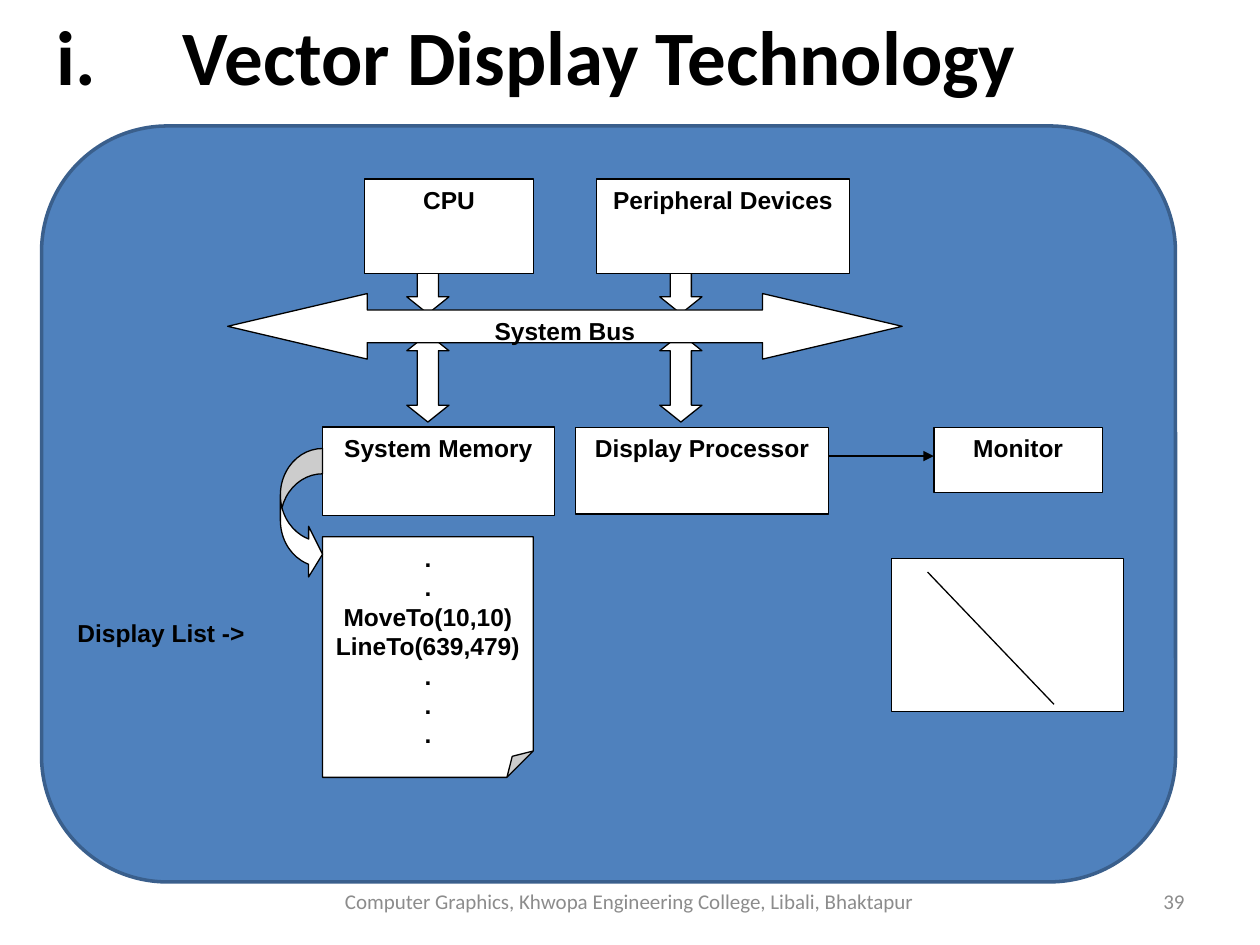
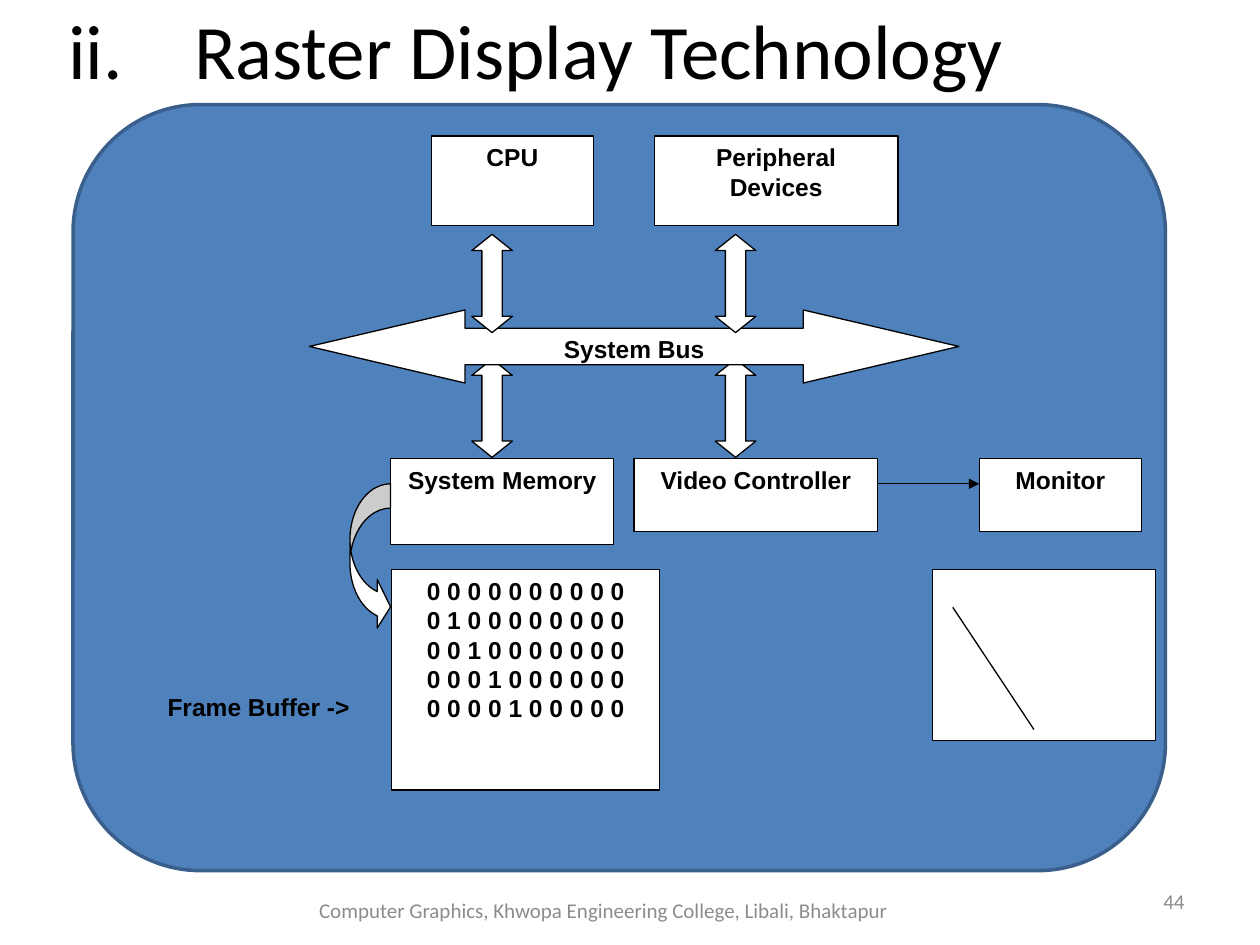
"""Build two slides that compare vector and raster display technology."""
from dataclasses import dataclass

from lxml.etree import SubElement
from pptx import Presentation
from pptx.dml.color import RGBColor
from pptx.enum.shapes import MSO_CONNECTOR, MSO_SHAPE as SHAPE
from pptx.enum.text import MSO_ANCHOR as ANCHOR, MSO_AUTO_SIZE, PP_ALIGN as ALIGN
from pptx.oxml.ns import qn
from pptx.util import Inches, Pt

COLORS = {"panel": "4F81BD", "panel_edge": "3A5F8C", "node": "FFFFFF",
          "ink": "000000", "footer": "8C8C8C"}
SLIDE_WIDTH, SLIDE_HEIGHT = 10, 7.5
COLUMNS, ROWS = 37, 75
TITLE_ONLY = 5
FOOTER = "Computer Graphics, Khwopa Engineering College, Libali, Bhaktapur"
LINK_COLUMNS = (4, 16)
LINK_ADJUST = {"adj1": 0.5, "adj2": 0.4}
BUS_ADJUST = {"adj1": 0.5, "adj2": 2.13}
CURVE_ADJUST = {"adj1": 0.6, "adj2": 1.2, "adj3": 0.33}
FOLD_ADJUST = {"adj": 0.125}


@dataclass
class Grid:
    """Columns run from the memory box to the monitor, rows down the slide."""
    left: float
    width: float

    def x(self, column):
        return Inches(self.left + self.span(column))

    def span(self, columns):
        return columns * self.width / COLUMNS

    def y(self, row):
        return Inches(row * SLIDE_HEIGHT / ROWS)

    def place(self, column, row, columns, rows):
        return (self.x(column), self.y(row),
                Inches(self.span(columns)), self.y(rows))


def color(name):
    """Look up a colour by its role."""
    return RGBColor.from_string(COLORS[name])


def share(left, top, width, height):
    """Turn inches on the page into lengths."""
    return tuple(Inches(length) for length in (left, top, width, height))


def write(box, lines, align=ALIGN.CENTER, anchor=ANCHOR.TOP,
          size=14, font="Arial", ink="ink", bold=True):
    """Fill a box with one paragraph per line."""
    frame = box.text_frame
    frame.word_wrap = True
    frame.auto_size = MSO_AUTO_SIZE.NONE
    frame.vertical_anchor = anchor
    for index, line in enumerate(lines):
        para = frame.paragraphs[0] if index == 0 else frame.add_paragraph()
        para.alignment = align
        span = para.add_run()
        span.text = line
        span.font.size = Pt(size)
        span.font.name = font
        span.font.bold = bold
        span.font.color.rgb = color(ink)


def add_title(page, number, words, height, inset, bold):
    """Set the title with its number in front of a tab stop."""
    title = page.shapes.title
    title.left, title.top, title.width, title.height = share(0, 0, 8.5, height)
    frame = title.text_frame
    frame.margin_left, frame.margin_top = (Inches(edge) for edge in inset)
    properties = frame.paragraphs[0]._p.get_or_add_pPr()
    tabs = SubElement(properties, qn("a:tabLst"))
    SubElement(tabs, qn("a:tab"), pos=str(Inches(1)), algn="l")
    write(title, [f"{number}\t{words}"], ALIGN.LEFT, size=44,
          font="Calibri", bold=bold)


def set_adjustments(shape, adjust):
    """Write the named proportions of a preset shape."""
    guides = shape._element.spPr.find(qn("a:prstGeom")).find(qn("a:avLst"))
    for guide in list(guides):
        guides.remove(guide)
    for name, value in adjust.items():
        SubElement(guides, qn("a:gd"), name=name, fmla=f"val {round(value * 100000)}")


def add_shape(page, kind, place, fill="node", edge="ink", weight=0.75, adjust=None):
    """Add a filled and outlined preset shape."""
    shape = page.shapes.add_shape(kind, *place)
    shape.shadow.inherit = False
    shape.fill.solid()
    shape.fill.fore_color.rgb = color(fill)
    shape.line.color.rgb = color(edge)
    shape.line.width = Pt(weight)
    if adjust:
        set_adjustments(shape, adjust)
    return shape


def add_node(page, place, *lines, kind=SHAPE.RECTANGLE, adjust=None):
    """Add a white part of the diagram with its text."""
    write(add_shape(page, kind, place, adjust=adjust), lines)


def add_line(page, grid, start, end, arrow=False):
    """Join two grid points, with an arrowhead if wanted."""
    line = page.shapes.add_connector(
        MSO_CONNECTOR.STRAIGHT, grid.x(start[0]), grid.y(start[1]),
        grid.x(end[0]), grid.y(end[1]))
    line.line.color.rgb = color("ink")
    line.line.width = Pt(0.75)
    outline = line._element.spPr.find(qn("a:ln"))
    if arrow:
        SubElement(outline, qn("a:tailEnd"), type="triangle")
    SubElement(line._element.spPr, qn("a:effectLst"))


def add_links(page, grid, row, rows):
    """Add the pair of two-way arrows on one side of the bus."""
    for column in LINK_COLUMNS:
        add_shape(page, SHAPE.UP_DOWN_ARROW, grid.place(column, row, 2, rows),
                  adjust=LINK_ADJUST)


def add_bus(page, grid, column, row, rows):
    """Add the system bus."""
    add_node(page, grid.place(column, row, 32, rows), "System Bus",
             kind=SHAPE.LEFT_RIGHT_ARROW, adjust=BUS_ADJUST)


def add_devices(page, grid, row, rows):
    """Add the boxes above the bus."""
    add_node(page, grid.place(2, row, 8, rows), "CPU")
    add_node(page, grid.place(13, row, 12, rows), "Peripheral Devices")


def add_units(page, grid, processor, row, heights, arrow_row):
    """Add the boxes below the bus and the arrow to the monitor."""
    units = (("System Memory", 0, 11), (processor, 12, 12), ("Monitor", 29, 8))
    for (name, column, columns), rows in zip(units, heights):
        add_node(page, grid.place(column, row, columns, rows), name)
    add_line(page, grid, (24, arrow_row), (29, arrow_row), arrow=True)


def add_memory_curve(page, grid, row, rows):
    """Add the curved arrow from the memory to its content."""
    add_shape(page, SHAPE.CURVED_RIGHT_ARROW, grid.place(-2, row, 2, rows),
              adjust=CURVE_ADJUST)


def add_screen(page, place, grid, start, end):
    """Add the monitor picture with the drawn line."""
    add_shape(page, SHAPE.RECTANGLE, place)
    add_line(page, grid, start, end)


def add_label(page, place, words, **style):
    """Add a text box centred on its height."""
    write(page.shapes.add_textbox(*place), [words], anchor=ANCHOR.MIDDLE, **style)


def add_footer(page, number, place):
    """Add the college line and the page number."""
    style = {"size": 12, "font": "Calibri", "ink": "footer", "bold": False}
    add_label(page, share(7.17, 6.95, 2.33, 0.4), number, align=ALIGN.RIGHT, **style)
    add_label(page, place, FOOTER, **style)


def add_page(deck, panel):
    """Add a title-only page with its rounded panel."""
    page = deck.slides.add_slide(deck.slide_layouts[TITLE_ONLY])
    add_shape(page, SHAPE.ROUNDED_RECTANGLE, panel, "panel", "panel_edge", 2)
    return page


def build_vector(deck):
    """Show the vector display with its display list."""
    page = add_page(deck, share(0.33, 1, 9, 6))
    grid = Grid(2.56, 6.19)
    add_title(page, "i.", "Vector Display Technology", 1.61, (0.45, 0.07), True)
    for row in (17.9, 26.5):
        add_links(page, grid, row, 7)
    add_devices(page, grid, 14.2, 7.5)
    add_units(page, grid, "Display Processor", 33.9, (7, 6.9, 5.2), 36.2)
    add_node(page, grid.place(0, 42.6, 10, 19.1), ".", ".", "MoveTo(10,10)",
             "LineTo(639,479)", ".", ".", ".",
             kind=SHAPE.FOLDED_CORNER, adjust=FOLD_ADJUST)
    add_memory_curve(page, grid, 35.6, 10.4)
    add_screen(page, grid.place(27, 44.3, 11, 12.2), grid, (28.7, 45.4), (34.7, 55.9))
    add_bus(page, grid, -4.5, 23.3, 5.2)
    add_label(page, grid.place(-15.3, 45, 12.2, 10.4), "Display List ->",
              align=ALIGN.RIGHT)
    add_footer(page, "39", share(2.58, 6.95, 4.83, 0.4))


def build_raster(deck):
    """Show the raster display with its frame buffer."""
    page = add_page(deck, share(0.58, 0.83, 8.67, 6.08))
    grid = Grid(3.1, 5.96)
    add_title(page, "ii.", "Raster Display Technology", 1.19, (0.54, 0.02), False)
    add_label(page, grid.place(-15.1, 49.7, 13.7, 12.8), "Frame Buffer ->",
              align=ALIGN.RIGHT)
    add_links(page, grid, 28.5, 7.8)
    add_devices(page, grid, 10.8, 7.1)
    add_units(page, grid, "Video Controller", 36.4, (6.8, 5.8, 5.8), 38.4)
    add_memory_curve(page, grid, 38.4, 11.7)
    add_screen(page, grid.place(26.7, 45.2, 11, 13.6), grid, (27.7, 48.2), (31.7, 57.9))
    bits = [" ".join("1" if row and column == row else "0" for column in range(10))
            for row in range(5)]
    add_node(page, grid.place(0.06, 45.2, 13.2, 17.5), *bits)
    add_bus(page, grid, -4, 24.6, 5.8)
    add_links(page, grid, 18.6, 7.8)
    add_footer(page, "44", share(2, 7.02, 5.58, 0.4))


def main():
    """Build and save the deck."""
    deck = Presentation()
    deck.slide_width, deck.slide_height = Inches(SLIDE_WIDTH), Inches(SLIDE_HEIGHT)
    build_vector(deck)
    build_raster(deck)
    deck.save("out.pptx")


if __name__ == "__main__":
    main()
